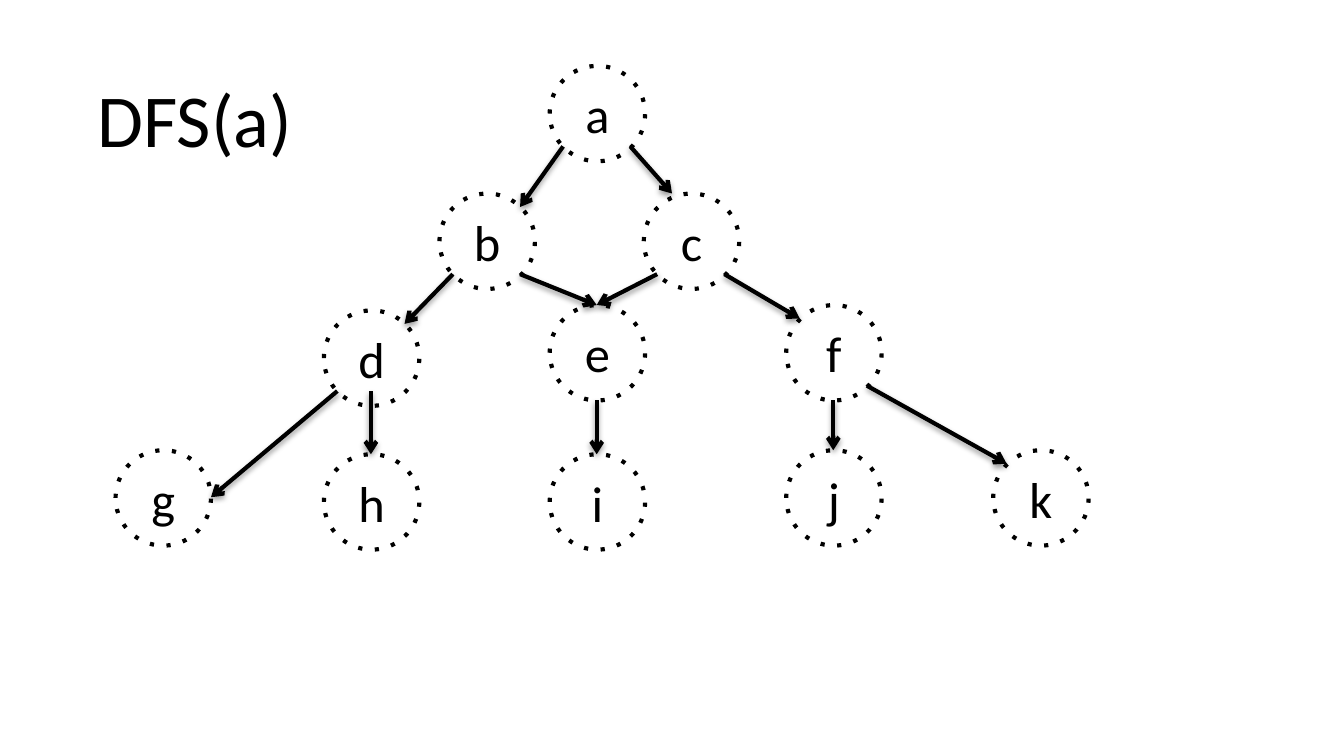
from dataclasses import dataclass

from lxml.etree import SubElement
from pptx import Presentation
from pptx.dml.color import RGBColor
from pptx.enum.shapes import MSO_CONNECTOR, MSO_SHAPE
from pptx.enum.text import MSO_ANCHOR, MSO_AUTO_SIZE, PP_ALIGN
from pptx.oxml.ns import qn
from pptx.util import Emu, Pt

TITLE = "DFS(a)"
TITLE_BOX = (63, 49, 203, 77)
WIDTH = 1000

# Left and top of each node, in px
NODES = {
    "e": (409, 227), "b": (327, 144), "a": (409, 49), "c": (479, 144),
    "f": (585, 227), "d": (241, 231), "g": (86, 335), "h": (241, 338),
    "i": (409, 338), "j": (585, 335), "k": (739, 335),
}
# Start node and port, end node and port
EDGES = [
    ("a", "sw", "b", "ne"), ("b", "sw", "d", "ne"), ("d", "sw", "g", "e"),
    ("d", "low", "h", "n"), ("b", "se", "e", "n"), ("e", "s", "i", "n"),
    ("a", "se", "c", "nnw"), ("c", "sw", "e", "n"), ("c", "se", "f", "nw"),
    ("f", "s", "j", "n"), ("f", "se", "k", "nw"),
]
SIZE = 71
MID = SIZE // 2
NEAR, FAR = 10, 60
PORTS = {
    "n": (MID, 0), "s": (MID, SIZE), "e": (SIZE, MID),
    "nw": (NEAR, NEAR), "ne": (FAR, NEAR), "sw": (NEAR, FAR), "se": (FAR, FAR),
    "low": (MID, FAR), "nnw": (21, 0),
}


@dataclass(frozen=True)
class Theme:
    ink: RGBColor = RGBColor(0, 0, 0)
    font: str = "Calibri"
    title: Pt = Pt(40)
    label: Pt = Pt(27)
    line: Pt = Pt(2.25)


THEME = Theme()


def px(n):
    return Emu(n * 9144)


def write(par, text, size):
    run = par.add_run()
    run.text = text
    run.font.name = THEME.font
    run.font.size = size
    run.font.color.rgb = THEME.ink


def ink(shape, tag, **attrs):
    """Draw the line in ink and add one more line property."""
    shape.line.color.rgb = THEME.ink
    shape.line.width = THEME.line
    SubElement(shape._element.spPr.find(qn("a:ln")), qn(tag), **attrs)


def add_node(slide, name, left, top):
    node = slide.shapes.add_shape(MSO_SHAPE.OVAL, *map(px, (left, top, SIZE, SIZE)))
    node.shadow.inherit = False
    node.fill.background()
    ink(node, "a:prstDash", val="dot")
    frame = node.text_frame
    frame.margin_left = frame.margin_right = px(7)
    frame.margin_top = frame.margin_bottom = px(4)
    frame.vertical_anchor = MSO_ANCHOR.MIDDLE
    par = frame.paragraphs[0]
    par.alignment = PP_ALIGN.CENTER
    write(par, name, THEME.label)


def spot(name, port):
    return [px(a + b) for a, b in zip(NODES[name], PORTS[port])]


def add_edge(slide, start, out, end, into):
    edge = slide.shapes.add_connector(
        MSO_CONNECTOR.STRAIGHT, *spot(start, out), *spot(end, into))
    ink(edge, "a:tailEnd", type="arrow")
    cast = SubElement(
        SubElement(edge._element.spPr, qn("a:effectLst")), qn("a:outerShdw"),
        blurRad=str(Pt(3.1)), dist=str(Pt(1.6)), dir="5400000", rotWithShape="0")
    tint = SubElement(cast, qn("a:srgbClr"), val=str(THEME.ink))
    SubElement(tint, qn("a:alpha"), val="38000")


def add_title(slide):
    frame = slide.shapes.add_textbox(*map(px, TITLE_BOX)).text_frame
    frame.word_wrap = True
    frame.auto_size = MSO_AUTO_SIZE.SHAPE_TO_FIT_TEXT
    write(frame.paragraphs[0], TITLE, THEME.title)


def main():
    deck = Presentation()
    deck.slide_width = px(WIDTH)
    deck.slide_height = Emu(px(WIDTH) * 9 // 16)
    slide = deck.slides.add_slide(deck.slide_layouts[6])
    for name, place in NODES.items():
        add_node(slide, name, *place)
    for edge in EDGES:
        add_edge(slide, *edge)
    add_title(slide)
    deck.save("out.pptx")


if __name__ == "__main__":
    main()
